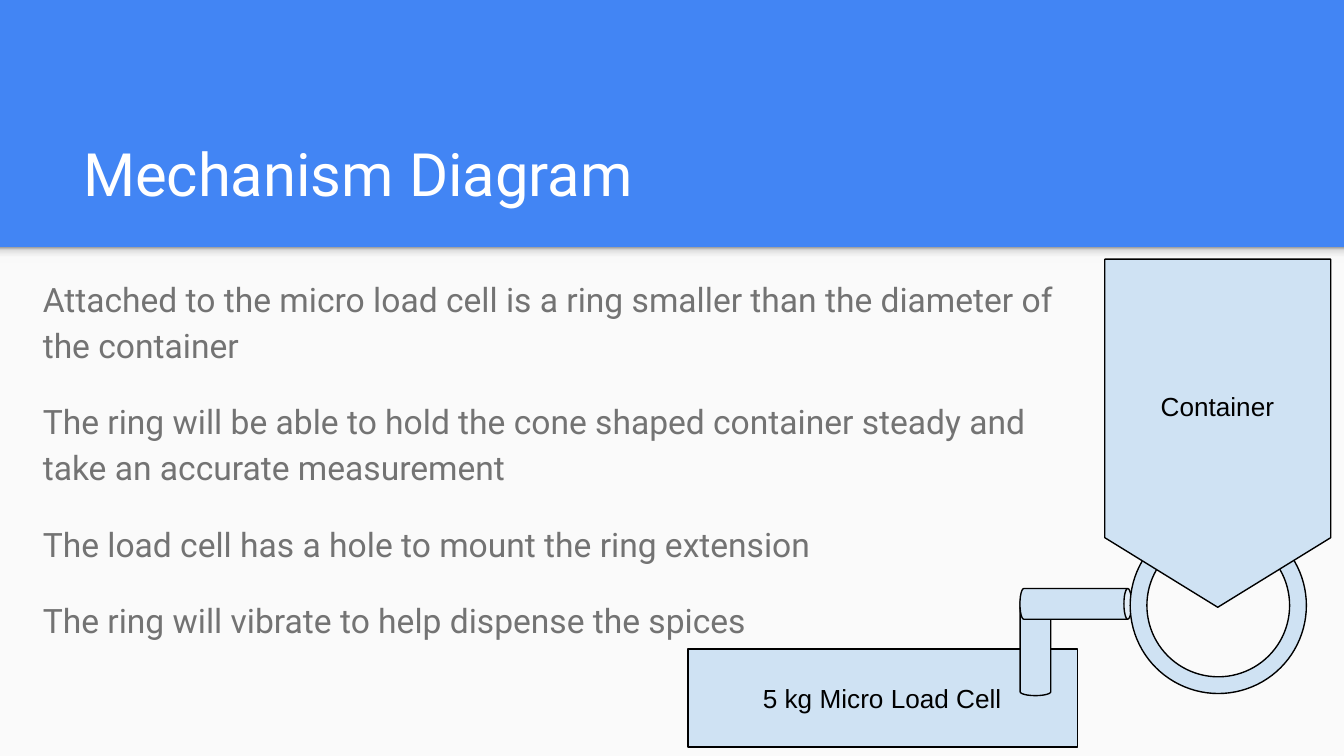
from dataclasses import dataclass

from lxml import etree
from pptx import Presentation
from pptx import util as u
from pptx.dml import color
from pptx.enum import shapes, text
from pptx.oxml import ns

Cm = u.Cm
Kind = shapes.MSO_SHAPE
Anchor = text.MSO_ANCHOR
Align = text.PP_ALIGN


@dataclass(frozen=True)
class Theme:
    header: str = "4285F4"
    panel: str = "FAFAFA"
    title: str = "FFFFFF"
    body: str = "737373"
    metal: str = "CFE2F3"
    ink: str = "000000"
    shade: tuple = ((0, "999999"), (20, "DEDEDE"), (64, "F9F9F9"), (100, "F9F9F9"))
    slide_font: str = "Roboto"
    label_font: str = "Arial"
    title_size: int = 32
    body_size: int = 18
    label_size: int = 14
    outline: float = 0.75


THEME = Theme()
WIDTH, HEIGHT = 25.4, 14.29
HEADER_HEIGHT = 4.67

POINTS = (
    "Attached to the micro load cell is a ring smaller than the diameter of the container",
    "The ring will be able to hold the cone shaped container steady and take an accurate measurement",
    "The load cell has a hole to mount the ring extension",
    "The ring will vibrate to help dispense the spices",
)


def rgb(value):
    return color.RGBColor.from_string(value)


def add_block(page, kind, place, fill, outlined=False):
    """Add a preset shape at (left, top, width, height) in centimetres."""
    block = page.shapes.add_shape(kind, *map(Cm, place))
    block.shadow.inherit = False
    block.fill.solid()
    block.fill.fore_color.rgb = rgb(fill)
    if outlined:
        block.line.color.rgb = rgb(THEME.ink)
        block.line.width = u.Pt(THEME.outline)
    else:
        block.line.fill.background()
    return block


def add_piece(page, kind, place, adjustment=None, rotation=0):
    """Add one outlined piece of the mechanism."""
    piece = add_block(page, kind, place, THEME.metal, outlined=True)
    if adjustment is not None:
        piece.adjustments[0] = adjustment
    piece.rotation = rotation


def shade_downward(block, stops):
    """Fill a block with a gradient of several stops, from top to bottom."""
    block.fill.gradient()
    block.fill.gradient_angle = 270  # counted anticlockwise
    stop_list = block.element.spPr.find(ns.qn("a:gradFill")).find(ns.qn("a:gsLst"))
    for stop in list(stop_list):
        stop_list.remove(stop)
    for percent, value in stops:
        stop = etree.SubElement(stop_list, ns.qn("a:gs"), pos=str(percent * 1000))
        etree.SubElement(stop, ns.qn("a:srgbClr"), val=value)


def add_text(page, place, lines, font, size, ink, anchor=Anchor.TOP,
             align=Align.LEFT, spacing=1.0, after=0):
    """Add a wrapped text box with one paragraph for each line."""
    frame = page.shapes.add_textbox(*map(Cm, place)).text_frame
    frame.word_wrap = True
    frame.vertical_anchor = anchor
    frame.margin_left = frame.margin_right = Cm(0.25)
    frame.margin_top = frame.margin_bottom = Cm(0.25)
    for index, line in enumerate(lines):
        para = frame.paragraphs[0] if index == 0 else frame.add_paragraph()
        para.text = line
        para.alignment = align
        para.line_spacing = spacing
        para.space_after = u.Pt(after)
        para.font.name = font
        para.font.size = u.Pt(size)
        para.font.color.rgb = rgb(ink)


def add_label(page, place, words):
    """Name a piece of the mechanism."""
    add_text(page, place, [words], THEME.label_font, THEME.label_size, THEME.ink,
             anchor=Anchor.MIDDLE, align=Align.CENTER)


def add_backdrop(page):
    page.background.fill.solid()
    page.background.fill.fore_color.rgb = rgb(THEME.header)
    add_block(page, Kind.RECTANGLE,
              (0, HEADER_HEIGHT, WIDTH, HEIGHT - HEADER_HEIGHT), THEME.panel)
    edge = add_block(page, Kind.RECTANGLE, (0, HEADER_HEIGHT, WIDTH, 0.3), THEME.panel)
    shade_downward(edge, THEME.shade)


def add_mechanism(page):
    # Load cell
    add_piece(page, Kind.RECTANGLE, (13, 12.27, 7.37, 1.85))
    add_label(page, (13.41, 12.7, 6.53, 0.99), "5 kg Micro Load Cell")
    # Ring extension: upright post, then horizontal arm
    add_piece(page, Kind.CAN, (19.28, 11.3, 0.58, 1.85), 0.25)
    add_piece(page, Kind.CAN, (20.04, 10.36, 0.58, 2.11), 0.25, rotation=90)
    # Ring and the container resting in it
    add_piece(page, Kind.DONUT, (21.36, 9.78, 3.33, 3.33), 0.095)
    add_piece(page, Kind.FLOWCHART_OFFPAGE_CONNECTOR, (20.88, 4.9, 4.27, 6.58))
    add_label(page, (21.56, 6.65, 2.9, 2.06), "Container")


def main():
    deck = Presentation()
    deck.slide_width, deck.slide_height = Cm(WIDTH), Cm(HEIGHT)
    page = deck.slides.add_slide(deck.slide_layouts[6])

    add_backdrop(page)
    # Title and explanation
    add_text(page, (1.32, 2.06, 22.83, 2.13), ["Mechanism Diagram"],
             THEME.slide_font, THEME.title_size, THEME.title, anchor=Anchor.BOTTOM)
    add_text(page, (0.56, 4.9, 19.81, 7.47), POINTS,
             THEME.slide_font, THEME.body_size, THEME.body, spacing=1.15, after=16)
    add_mechanism(page)

    deck.save("out.pptx")


if __name__ == "__main__":
    main()
